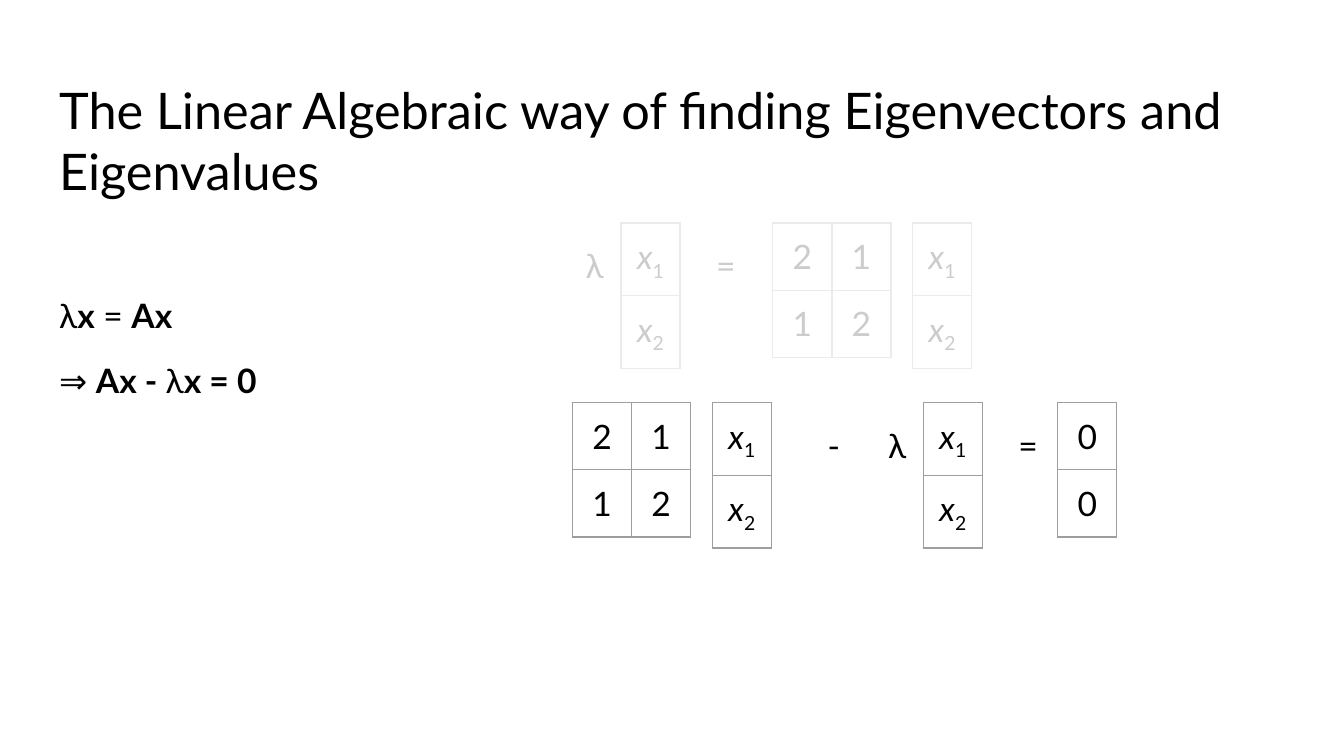
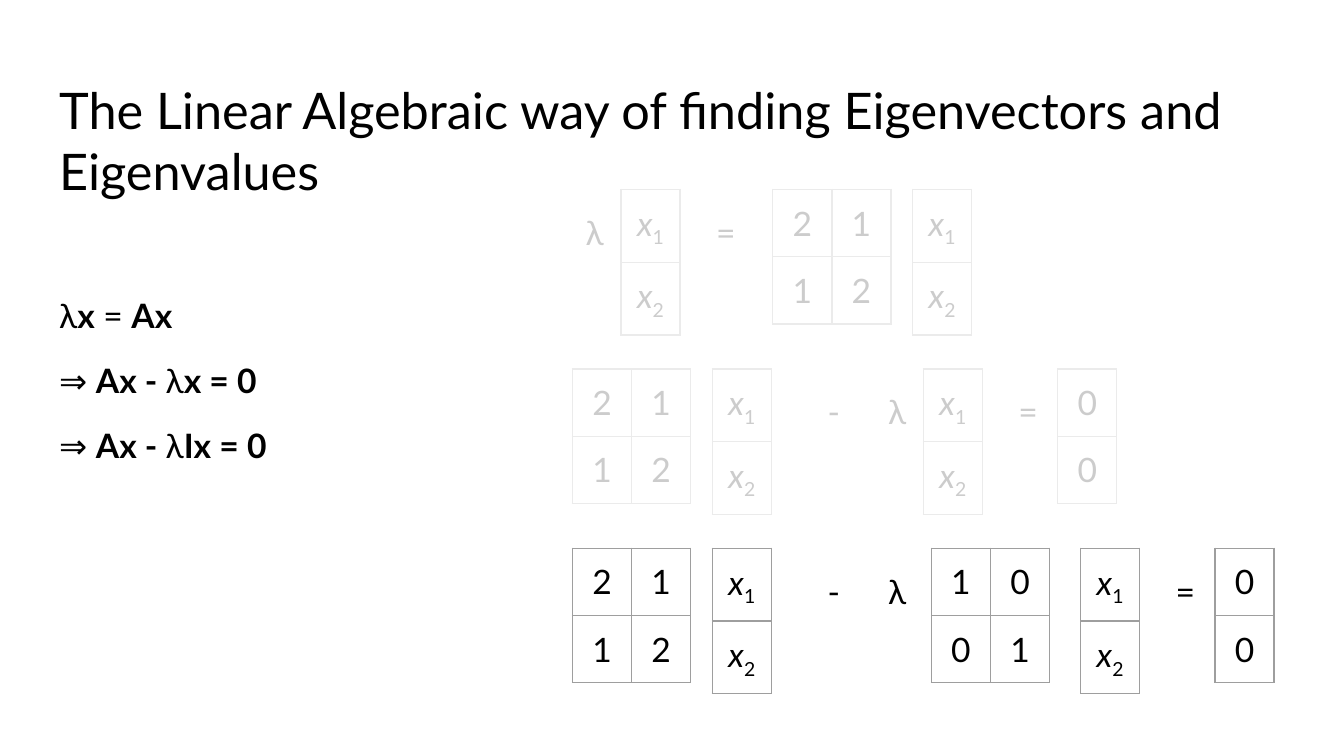
from lxml.etree import SubElement as Sub
from pptx import Presentation
from pptx.dml.color import RGBColor
from pptx.enum.shapes import MSO_SHAPE as Shape
from pptx.enum.text import MSO_ANCHOR as Anchor, MSO_AUTO_SIZE as Auto, PP_ALIGN as Align
from pptx.oxml.ns import qn
from pptx.util import Inches, Pt

FONT, BLACK, WHITE, GRAY = "Lato", "000000", "FFFFFF", "9E9E9E"
TITLE = "The Linear Algebraic way of finding Eigenvectors and Eigenvalues"
CELL, STEP, DROP = 0.44, 2.67 / 2, 0.02
A, X, ZERO, UNIT = "2 1/1 2", "x1/x2", "0/0", "1 0/0 1"
STEPS = ["λ*x* = *Ax*", "⇒ *Ax - *λ*x = 0*", "⇒ *Ax - *λ*Ix = 0*"]
ROWS = [
    [(4.26, "λ"), (4.62, X), (5.23, "="), (5.75, A), (6.79, X)],
    [(4.26, A), (5.3, X), (6.06, "-"), (6.51, "λ"), (6.87, X), (7.48, "="), (7.87, ZERO)],
    [(4.26, A), (5.3, X), (6.06, "-"), (6.51, "λ"), (6.93, UNIT), (8.04, X),
     (8.65, "="), (9.04, ZERO)],
]


def color(code):
    """Turn a hex string into a colour."""
    return RGBColor.from_string(code)


def place(shape, left, top, width, height):
    """Move and size a shape in inches."""
    shape.left, shape.top = Inches(left), Inches(top)
    shape.width, shape.height = Inches(width), Inches(height)


def style(run, size=18, bold=False, italic=False):
    """Format one run in the deck font."""
    font = run.font
    font.name, font.size, font.bold, font.italic = FONT, Pt(size), bold, italic
    font.color.rgb = color(BLACK)


def frame(shape, auto):
    """Set the insets, wrap and fit of a text frame."""
    text = shape.text_frame
    text.margin_left = text.margin_right = Inches(0.1)
    text.margin_top = text.margin_bottom = Inches(0.1)
    text.word_wrap, text.auto_size = True, auto
    text.vertical_anchor = Anchor.TOP
    return text


def add_title(slide):
    """Fill the title placeholder."""
    title = slide.shapes.title
    place(title, 0.34, 0.49, 9.32, 0.63)
    text = frame(title, Auto.NONE)
    text.text = TITLE
    para = text.paragraphs[0]
    para.alignment = Align.LEFT
    style(para.runs[0], 27)


def add_steps(slide, lines):
    """List the steps, with starred parts in bold."""
    body = slide.placeholders[1]
    place(body, 0.34, 2.05, 3.28, 0.5 + 0.49 * len(lines))
    text = frame(body, Auto.SHAPE_TO_FIT_TEXT)
    for i, line in enumerate(lines):
        para = text.add_paragraph() if i else text.paragraphs[0]
        para.line_spacing, para.space_before = 1.15, Pt(10 if i else 0)
        props = para._p.get_or_add_pPr()
        props.set("marL", "0")
        props.set("indent", "0")
        Sub(props, qn("a:buNone"))
        for k, part in enumerate(line.split("*")):
            if part:
                run = para.add_run()
                run.text = part
                style(run, bold=k % 2 == 1)


def add_sign(slide, left, top, sign):
    """Add a sign between matrices."""
    width = 0.27 if sign == "λ" else 0.36
    box = slide.shapes.add_textbox(Inches(left), Inches(top), Inches(width), Inches(0.5))
    text = frame(box, Auto.SHAPE_TO_FIT_TEXT)
    text.text = sign
    para = text.paragraphs[0]
    para.line_spacing, para.space_after = 1.15, Pt(10)
    style(para.runs[0])


def edge(cell):
    """Draw thin gray borders round a cell."""
    props = cell._tc.get_or_add_tcPr()
    for side in "LRTB":
        line = Sub(props, qn(f"a:ln{side}"), w=str(Pt(0.75)))
        Sub(Sub(line, qn("a:solidFill")), qn("a:srgbClr"), val=GRAY)


def fill_cell(cell, item):
    """Write a number, or a letter with its index."""
    edge(cell)
    cell.fill.background()
    cell.vertical_anchor = Anchor.MIDDLE
    cell.margin_left = cell.margin_right = Inches(0.1)
    cell.margin_top = cell.margin_bottom = Inches(0.1)
    para = cell.text_frame.paragraphs[0]
    para.text = item[0]
    para.alignment = Align.CENTER
    style(para.runs[0], italic=item[0] == "x")
    if item[1:]:
        run = para.add_run()
        run.text = item[1:]
        style(run)
        run._r.get_or_add_rPr().set("baseline", "-25000")


def add_matrix(slide, left, top, code):
    """Add a matrix as a table."""
    rows = [row.split() for row in code.split("/")]
    high, wide = len(rows), len(rows[0])
    table = slide.shapes.add_table(high, wide, Inches(left), Inches(top),
                                   Inches(CELL * wide), Inches(0.5 * high)).table
    table.first_row = table.horz_banding = False
    for r, row in enumerate(rows):
        for c, item in enumerate(row):
            fill_cell(table.cell(r, c), item)


def add_row(slide, top, row):
    """Lay out one equation."""
    for left, item in row:
        if "/" in item:
            add_matrix(slide, left, top, item)
        else:
            add_sign(slide, left, top + DROP, item)


def add_veil(slide, top, width, height):
    """Fade the earlier equations."""
    veil = slide.shapes.add_shape(Shape.RECTANGLE, Inches(4.22), Inches(top),
                                  Inches(width), Inches(height))
    veil.shadow.inherit = False
    veil.line.fill.background()
    veil.fill.solid()
    veil.fill.fore_color.rgb = color(WHITE)
    tint = veil._element.spPr.find(qn("a:solidFill"))[0]
    Sub(tint, qn("a:alpha"), val="80000")


def add_slide(deck, count, top, width, height):
    """Build a slide that shows the first steps."""
    slide = deck.slides.add_slide(deck.slide_layouts[1])
    add_title(slide)
    add_steps(slide, STEPS[:count])
    for i, row in enumerate(ROWS[:count]):
        add_row(slide, top + STEP * i, row)
    add_veil(slide, top - 0.2, width, height)


def main():
    """Build and save the deck."""
    deck = Presentation()
    deck.slide_width, deck.slide_height = Inches(10), Inches(10 * 9 / 16)
    add_slide(deck, 2, 1.66, 3.27, 1.29)
    add_slide(deck, 3, 1.41, 4.2, 2.65)
    deck.save("out.pptx")


if __name__ == "__main__":
    main()
